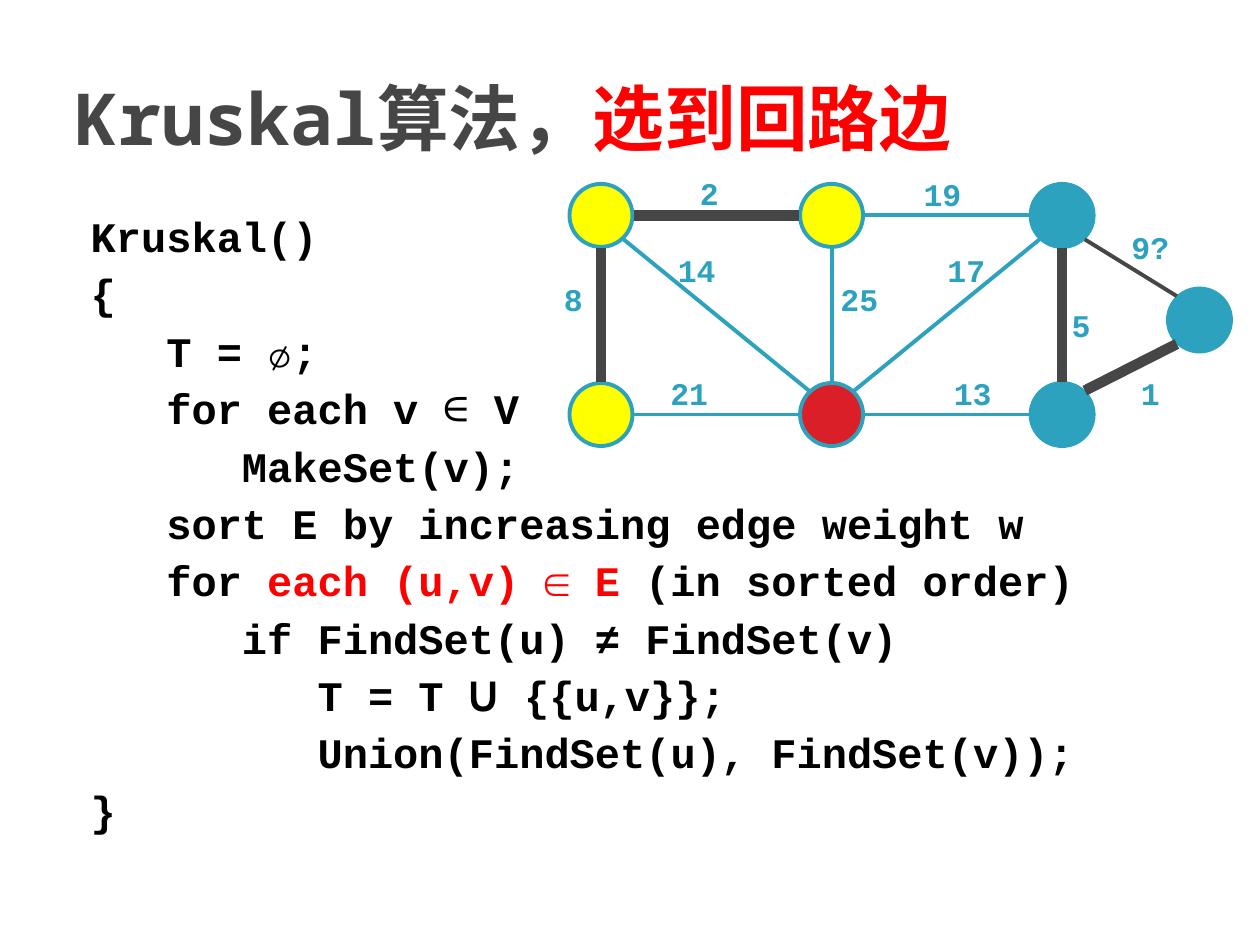
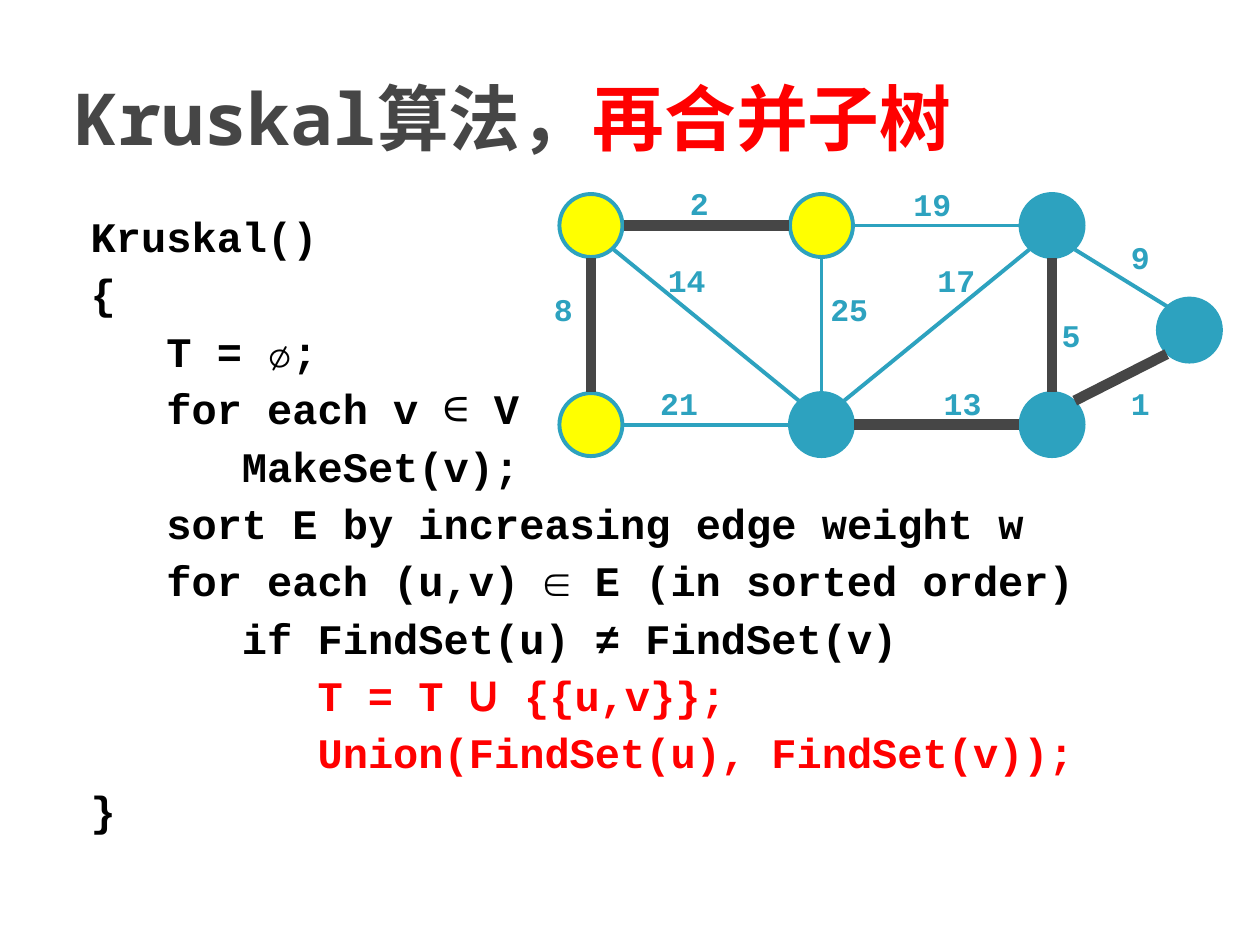
from dataclasses import dataclass
from typing import Optional

from lxml import etree
from pptx import Presentation
from pptx.dml.color import RGBColor
from pptx.enum.lang import MSO_LANGUAGE_ID as Lang
from pptx.enum.shapes import MSO_CONNECTOR as Connector, MSO_SHAPE as Shape
from pptx.enum.text import MSO_ANCHOR as Anchor, MSO_AUTO_SIZE as AutoSize, PP_ALIGN as Align
from pptx.oxml.ns import qn
from pptx.util import Inches, Pt

COLORS = {
    "heading": "464646",
    "code": "000000",
    "highlight": "FF0000",
    "graph": "2DA2BF",
    "tree": "464646",
    "left_tree": "FFFF00",
    "right_tree": "2DA2BF",
    "single": "DA1F28",
}
CODE_FONT = "Courier New"
TITLE_FONT = "Noto Sans Mono"

RADIUS = 0.25
STRAIGHT_GAP = (0.26, 0.26)
DIAGONAL_GAP = (0.18, 0.19)
THIN, THICK = 2.25, 6


@dataclass(frozen=True)
class Piece:
    """Part of a code line; it turns red on the slide that shows its step."""
    text: str
    step: str = ""
    font: str = CODE_FONT
    bold: bool = True


@dataclass(frozen=True)
class Edge:
    start: str
    end: str
    weight: str
    label_x: float
    label_y: float


@dataclass(frozen=True)
class Step:
    name: str
    headline: str
    tree: frozenset[str]
    hub_color: str
    tested: Optional[str] = None
    shift: float = 0


CODE = [
    [Piece("Kruskal()")],
    [Piece("{")],
    [Piece("   T = ∅;")],
    [Piece("   for each v "), Piece("∈", font=TITLE_FONT, bold=False), Piece(" V")],
    [Piece("      MakeSet(v);")],
    [Piece("   sort E by increasing edge weight w")],
    [Piece("   for "), Piece("each (u,v) ∈ E ", "pick"), Piece("(in sorted order)")],
    [Piece("      if FindSet(u) ≠ FindSet(v)")],
    [Piece("         "), Piece("T = T ", "merge"), Piece("U", "merge", "Cabin"),
     Piece(" {{u,v}};", "merge")],
    [Piece("         Union(FindSet(u), FindSet(v));", "merge")],
    [Piece("}")],
]

COLUMNS = [4.77 + 1.83 * i for i in range(3)]
TOP, BOTTOM = 1.71, 3.29
NODES = {
    "a": (COLUMNS[0], TOP), "b": (COLUMNS[1], TOP), "c": (COLUMNS[2], TOP),
    "d": (COLUMNS[2], BOTTOM), "e": (9.52, 2.54),
    "hub": (COLUMNS[1], BOTTOM), "f": (COLUMNS[0], BOTTOM),
}
NODE_COLORS = {name: "left_tree" if name in "abf" else "right_tree" for name in NODES}

EDGES = [
    Edge("a", "b", "2", 5.63, 1.33),
    Edge("b", "c", "19", 7.48, 1.34),
    Edge("c", "hub", "17", 7.67, 1.94),
    Edge("hub", "f", "21", 5.47, 2.92),
    Edge("f", "a", "8", 4.55, 2.17),
    Edge("a", "hub", "14", 5.53, 1.94),
    Edge("hub", "b", "25", 6.82, 2.17),
    Edge("hub", "d", "13", 7.72, 2.92),
    Edge("d", "c", "5", 8.58, 2.38),
    Edge("c", "e", "9", 9.13, 1.76),
    Edge("d", "e", "1", 9.13, 2.92),
]

STEPS = [
    Step("pick", "选到回路边", frozenset({"1", "2", "5", "8"}), "single", tested="9"),
    Step("merge", "再合并子树", frozenset({"1", "2", "5", "8", "13"}), "right_tree", shift=0.08),
]


def rgb(name: str) -> RGBColor:
    return RGBColor.from_string(COLORS[name])


def style(run, font: str, size: float, color: str, bold: bool = True) -> None:
    run.font.name, run.font.size, run.font.bold = font, Pt(size), bold
    run.font.color.rgb = rgb(color)


def place(shape, left: float, top: float, width: float, height: float) -> None:
    shape.left, shape.top = Inches(left), Inches(top)
    shape.width, shape.height = Inches(width), Inches(height)


def fill_title(title, headline: str) -> None:
    place(title, 0.5, 0.3, 9, 1.25)
    frame = title.text_frame
    frame.auto_size, frame.vertical_anchor = AutoSize.NONE, Anchor.MIDDLE
    paragraph = frame.paragraphs[0]
    paragraph.alignment = Align.LEFT
    for text, color in (("Kruskal算法，", "heading"), (headline, "highlight")):
        run = paragraph.add_run()
        run.text = text
        style(run, TITLE_FONT, 41, color)
        run.font.language_id = Lang.SIMPLIFIED_CHINESE


def fill_code(body, step: Step) -> None:
    place(body, 0.5, 1.62, 9, 4.95)
    frame = body.text_frame
    frame.auto_size, frame.vertical_anchor = AutoSize.NONE, Anchor.TOP
    for number, line in enumerate(CODE):
        paragraph = frame.add_paragraph() if number else frame.paragraphs[0]
        paragraph.space_before = Pt(4 if number else 0)
        properties = paragraph._p.get_or_add_pPr()
        properties.set("marL", str(Inches(0.4)))
        properties.set("indent", str(Inches(-0.28)))
        etree.SubElement(properties, qn("a:buNone"))
        for piece in line:
            run = paragraph.add_run()
            run.text = piece.text
            color = "highlight" if piece.step == step.name else "code"
            style(run, piece.font, 24, color, piece.bold)


def draw_node(slide, x: float, y: float, color: str) -> None:
    node = slide.shapes.add_shape(
        Shape.OVAL, Inches(x - RADIUS), Inches(y - RADIUS), Inches(2 * RADIUS), Inches(2 * RADIUS))
    node.shadow.inherit = False
    node.fill.solid()
    node.fill.fore_color.rgb = rgb(color)
    node.line.color.rgb = rgb("graph")
    node.line.width = Pt(THIN)


def sign(value: float) -> int:
    return (value > 0) - (value < 0)


def draw_edge(slide, start: tuple[float, float], end: tuple[float, float],
              color: str, width: float) -> None:
    """Draw a line that stops at the rims of the two nodes."""
    toward_x, toward_y = (sign(b - a) for a, b in zip(start, end))
    gap_x, gap_y = DIAGONAL_GAP if toward_x and toward_y else STRAIGHT_GAP
    dx, dy = gap_x * toward_x, gap_y * toward_y
    line = slide.shapes.add_connector(
        Connector.STRAIGHT, Inches(start[0] + dx), Inches(start[1] + dy),
        Inches(end[0] - dx), Inches(end[1] - dy))
    line.line.color.rgb = rgb(color)
    line.line.width = Pt(width)
    etree.SubElement(line._element.spPr, qn("a:effectLst"))


def draw_weight(slide, text: str, x: float, y: float) -> None:
    width = 0.37 if len(text) == 1 else 0.53
    label = slide.shapes.add_textbox(
        Inches(x - width / 2), Inches(y), Inches(width), Inches(0.43))
    frame = label.text_frame
    frame.word_wrap, frame.auto_size = False, AutoSize.SHAPE_TO_FIT_TEXT
    frame.text = text
    frame.paragraphs[0].alignment = Align.CENTER
    style(frame.paragraphs[0].runs[0], CODE_FONT, 18, "graph")


def draw_graph(slide, step: Step) -> None:
    spots = {name: (x - step.shift, y + step.shift) for name, (x, y) in NODES.items()}
    colors = NODE_COLORS | {"hub": step.hub_color}
    for name, (x, y) in spots.items():
        draw_node(slide, x, y, colors[name])
    for edge in EDGES:
        in_tree, tested = edge.weight in step.tree, edge.weight == step.tested
        draw_edge(slide, spots[edge.start], spots[edge.end],
                  "tree" if in_tree or tested else "graph", THICK if in_tree else THIN)
    for edge in EDGES:
        text = edge.weight + "?" if edge.weight == step.tested else edge.weight
        draw_weight(slide, text, edge.label_x - step.shift, edge.label_y + step.shift)


def main() -> None:
    deck = Presentation()
    deck.slide_width, deck.slide_height = Inches(10), Inches(7.5)
    for step in STEPS:
        slide = deck.slides.add_slide(deck.slide_layouts[1])
        fill_title(slide.shapes.title, step.headline)
        fill_code(slide.placeholders[1], step)
        draw_graph(slide, step)
    deck.save("out.pptx")


if __name__ == "__main__":
    main()
